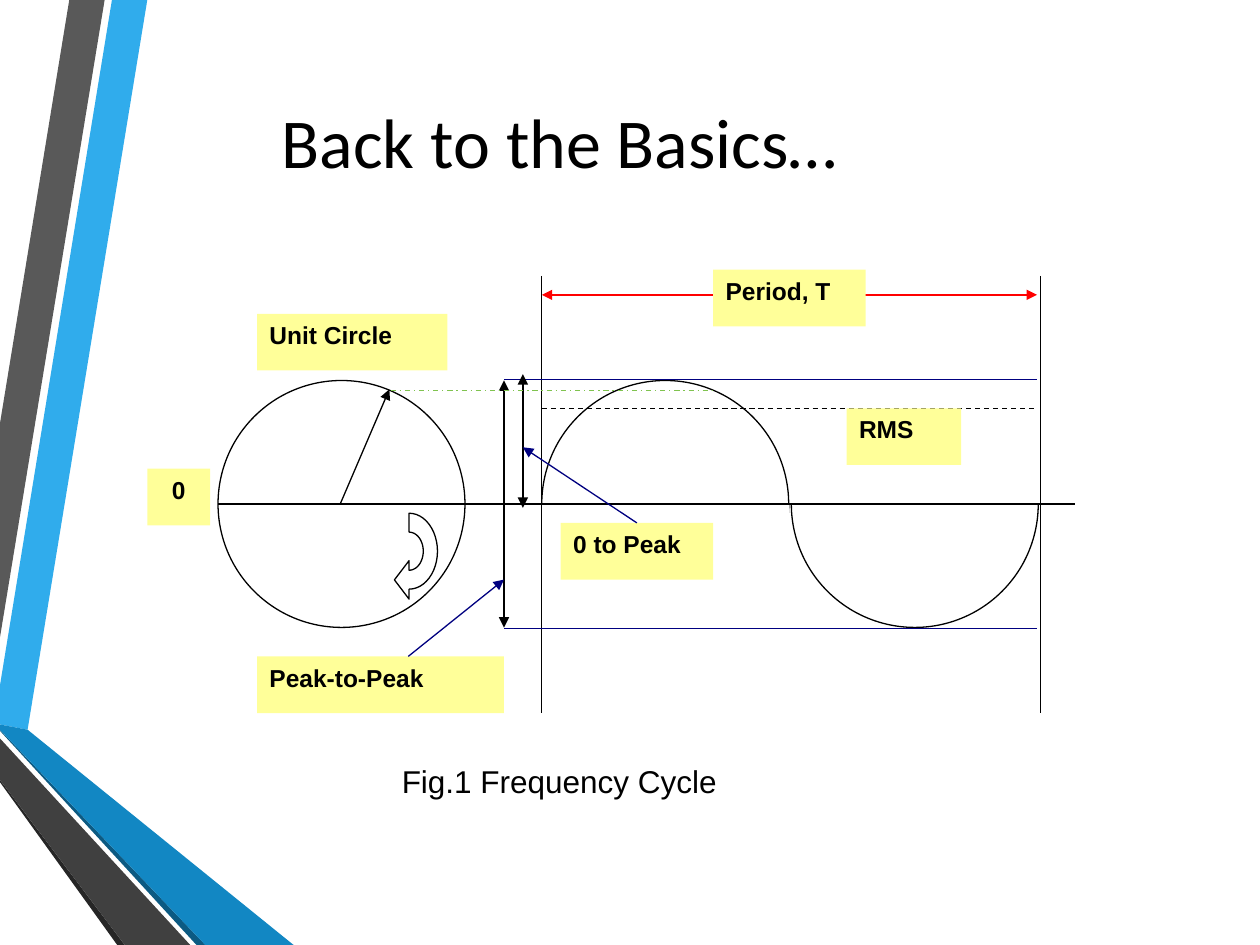
from dataclasses import dataclass
from math import cos, pi, sin
from typing import Any, Optional

from lxml.etree import SubElement
from pptx import Presentation
from pptx.dml.color import RGBColor
from pptx.enum.dml import MSO_LINE
from pptx.enum.shapes import MSO_CONNECTOR, MSO_SHAPE
from pptx.enum.text import MSO_ANCHOR, PP_ALIGN
from pptx.oxml.ns import qn
from pptx.util import Pt

Point = tuple[float, float]


@dataclass(frozen=True)
class Theme:
    black: str = "000000"
    white: str = "FFFFFF"
    navy: str = "000080"
    red: str = "FF0000"
    green: str = "80C34F"
    label: str = "FFFF99"
    rule: float = 0.75
    title_size: float = 40
    caption_size: float = 18
    label_size: float = 14
    title_font: str = "Calibri"
    text_font: str = "Arial"


@dataclass(frozen=True)
class Band:
    color: str
    points: list[Point]


@dataclass(frozen=True)
class Rule:
    start: Point
    end: Point
    color: str
    heads: tuple[str, ...] = ()
    dash: Optional[MSO_LINE] = None


@dataclass(frozen=True)
class Label:
    text: str
    left: float
    top: float
    width: float
    align: PP_ALIGN = PP_ALIGN.LEFT


THEME = Theme()
BOTH = ("headEnd", "tailEnd")
TIP = ("tailEnd",)
AXIS, DIAMETER, LABEL_HEIGHT = 288, 141.1, 32.4
TOP = AXIS - DIAMETER / 2
CIRCLE, WAVE_START, WAVE_END = 124.6, 309.6, 594.7
TROUGH_LEFT = 452.2
MEASURE, SPAN_END = 288, 592.6

BANDS = [
    Band("30ACEC", [(0, 391.7), (0, 414), (15.8, 417), (84.2, 0), (64, 0)]),
    Band("595959", [(59.8, 0), (39.6, 0), (0, 242), (0, 364.3)]),
    Band("262626", [(0, 445.7), (0, 447), (67, 540), (71.3, 540)]),
    Band("0C5A82", [(0, 417), (0, 417.6), (112.3, 540), (117.4, 540)]),
    Band("1287C3", [(0, 417), (117.4, 540), (167.8, 540), (15.8, 417), (0, 414)]),
    Band("404040", [(0, 445.7), (71.3, 540), (108.7, 540), (0, 422)]),
]
RULES = [
    Rule((CIRCLE, AXIS), (614.2, AXIS), THEME.black),
    Rule((WAVE_START, 157.7), (WAVE_START, 407.5), THEME.black),
    Rule((194.4, AXIS), (222.5, 222.5), THEME.black, TIP),
    Rule((WAVE_END, 157.7), (WAVE_END, 407.5), THEME.black),
    Rule((WAVE_START, 168.5), (SPAN_END, 168.5), THEME.red, BOTH),
    Rule((MEASURE, 216.7), (SPAN_END, 216.7), THEME.navy),
    Rule((MEASURE, 359.3), (SPAN_END, 359.3), THEME.navy),
    Rule((MEASURE, 217.4), (MEASURE, 358.6), THEME.black, BOTH),
    Rule((298.8, 213.8), (298.8, 290.2), THEME.black, BOTH),
    Rule((WAVE_START, 233.3), (SPAN_END, 233.3), THEME.black, dash=MSO_LINE.DASH),
    Rule((223.2, 223.2), (409, 223.2), THEME.green, dash=MSO_LINE.DASH_DOT),
]
LABELS = [
    Label("Period, T", 407.5, 154.1, 87.1),
    Label("RMS", 483.8, 233.3, 65.5),
    Label("Unit Circle", 146.9, 179.3, 108.7),
    Label("Peak-to-Peak", 146.9, 375.1, 141.1),
    Label("0 to Peak", 320.4, 298.8, 87.1),
    Label("0", 84.2, 267.8, 36, PP_ALIGN.CENTER),
]
PEAK_TO_PEAK_POINTER = Rule((233.3, 375.1), (MEASURE, 331.2), THEME.navy, TIP)
ZERO_TO_PEAK_POINTER = Rule((364, 298.8), (298.8, 255.6), THEME.navy, TIP)


def apply(target: Any, values: dict[str, Any]) -> None:
    for name, value in values.items():
        setattr(target, name, value)


def paint(shape: Any, fill: str, line: Optional[str] = None) -> None:
    shape.shadow.inherit = False
    shape.fill.solid()
    shape.fill.fore_color.rgb = RGBColor.from_string(fill)
    if line is None:
        shape.line.fill.background()
    else:
        shape.line.color.rgb = RGBColor.from_string(line)
        shape.line.width = Pt(THEME.rule)


def write(shape: Any, text: str, font: str, size: float,
          align: PP_ALIGN, anchor: MSO_ANCHOR, bold: bool = False) -> None:
    apply(shape.text_frame, {"word_wrap": True, "vertical_anchor": anchor})
    para = shape.text_frame.paragraphs[0]
    para.alignment = align
    span = para.add_run()
    span.text = text
    apply(span.font, {"name": font, "size": Pt(size), "bold": bold})
    span.font.color.rgb = RGBColor.from_string(THEME.black)


def draw_shape(page: Any, kind: MSO_SHAPE, frame: tuple[float, ...],
               fill: str, line: Optional[str] = None) -> Any:
    shape = page.shapes.add_shape(kind, *map(Pt, frame))
    paint(shape, fill, line)
    return shape


def draw_outline(page: Any, points: list[Point], fill: str, line: Optional[str] = None) -> None:
    corners = [(Pt(x), Pt(y)) for x, y in points]
    builder = page.shapes.build_freeform(*corners[0], scale=1.0)
    builder.add_line_segments(corners[1:], close=True)
    paint(builder.convert_to_shape(), fill, line)


def draw_rule(page: Any, rule: Rule) -> Any:
    connector = page.shapes.add_connector(
        MSO_CONNECTOR.STRAIGHT, *map(Pt, rule.start + rule.end))
    connector.line.color.rgb = RGBColor.from_string(rule.color)
    apply(connector.line, {"width": Pt(THEME.rule), "dash_style": rule.dash})
    properties = connector._element.spPr
    for head in rule.heads:
        SubElement(properties.find(qn("a:ln")), qn(f"a:{head}"), type="triangle")
    SubElement(properties, qn("a:effectLst"))
    return connector


def draw_label(page: Any, label: Label) -> Any:
    frame = (label.left, label.top, label.width, LABEL_HEIGHT)
    box = draw_shape(page, MSO_SHAPE.RECTANGLE, frame, THEME.label)
    write(box, label.text, THEME.text_font, THEME.label_size,
          label.align, MSO_ANCHOR.TOP, bold=True)
    return box


def half_ellipse(center: Point, width: float, height: float, steps: int = 24) -> list[Point]:
    angles = [pi * step / steps - pi / 2 for step in range(steps + 1)]
    return [(center[0] + width * cos(a), center[1] + height * sin(a)) for a in angles]


def draw_rotation_arrow(page: Any) -> None:
    center = (233.8, 315)
    outer = half_ellipse(center, 16.2, 21.7)
    inner = half_ellipse(center, 8.1, 10.9)
    tip = [(233.8, 342.4), (225.4, 331.4), (233.8, 320.4)]
    draw_outline(page, outer + tip + inner[::-1], THEME.white, THEME.black)


def main() -> None:
    deck = Presentation()
    apply(deck, {"slide_width": Pt(720), "slide_height": Pt(540)})
    page = deck.slides.add_slide(deck.slide_layouts[5])
    for band in BANDS:
        draw_outline(page, band.points, band.color)

    title = page.shapes.title
    apply(title, {"left": Pt(13.7), "top": Pt(35.3), "width": Pt(612), "height": Pt(90)})
    write(title, "Back to the Basics…", THEME.title_font, THEME.title_size,
          PP_ALIGN.CENTER, MSO_ANCHOR.MIDDLE)

    for left in (CIRCLE, WAVE_START, TROUGH_LEFT):
        draw_shape(page, MSO_SHAPE.OVAL, (left, TOP, DIAMETER, DIAMETER),
                   THEME.white, THEME.black)
    for left, top in ((298.8, AXIS), (451.4, AXIS - 87.1)):
        draw_shape(page, MSO_SHAPE.RECTANGLE, (left, top, 152, 87.1), THEME.white)
    for rule in RULES:
        draw_rule(page, rule)
    draw_rotation_arrow(page)
    boxes = {label.text: draw_label(page, label) for label in LABELS}
    draw_rule(page, PEAK_TO_PEAK_POINTER)
    draw_rule(page, ZERO_TO_PEAK_POINTER).begin_connect(boxes["0 to Peak"], 0)

    caption = page.shapes.add_textbox(Pt(222.5), Pt(432), Pt(353.5), Pt(28.8))
    write(caption, "Fig.1 Frequency Cycle", THEME.text_font, THEME.caption_size,
          PP_ALIGN.LEFT, MSO_ANCHOR.TOP)
    deck.save("out.pptx")


if __name__ == "__main__":
    main()
